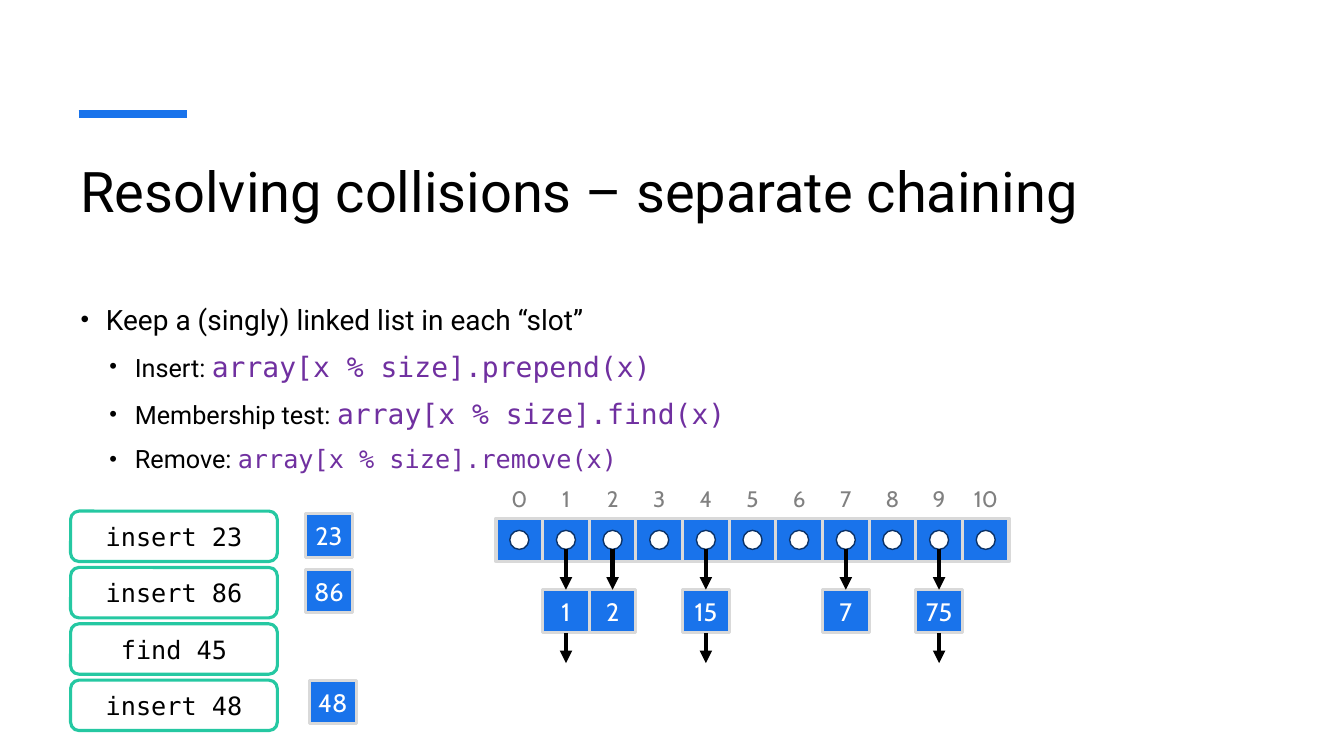
from dataclasses import dataclass

from lxml.etree import SubElement
from pptx import Presentation
from pptx.dml.color import RGBColor
from pptx.enum.shapes import MSO_CONNECTOR as Link, MSO_SHAPE as Preset
from pptx.enum.text import MSO_ANCHOR as Anchor, PP_ALIGN as Align
from pptx.oxml.ns import qn
from pptx.shapes.autoshape import Shape
from pptx.shapes.connector import Connector
from pptx.util import Cm, Pt

COLORS = {
    "blue": "1973EB", "navy": "0B3267", "teal": "25C8A2", "purple": "7030A0",
    "light": "D9D9D9", "gray": "808080", "black": "000000", "white": "FFFFFF",
}
SANS, MONO, LABEL = "Roboto", "DejaVu Sans Mono", "Cabin"

SLOT_COUNT = 11
ROW_LEFT, ROW_TOP = 12.5, 13.06
CELL_WIDTH, CELL_HEIGHT = 12.93 / SLOT_COUNT, 1.09
INDEX_TOP, CHAIN_TOP = 12.01, 14.86
DOT_SIZE = 0.48
TAIL_LENGTH = 0.76
COMMAND_LEFT, COMMAND_TOP, COMMAND_PITCH = 1.78, 12.88, 1.42


@dataclass(frozen=True)
class Style:
    font: str
    size: float
    color: str


@dataclass(frozen=True)
class Bullet:
    level: int
    text: str
    code: str = ""
    code_size: float = 20


@dataclass(frozen=True)
class Chain:
    slot: int
    value: str
    has_tail: bool


@dataclass(frozen=True)
class LooseNode:
    value: str
    left: float
    top: float


TITLE = Style(SANS, 40, "black")
INDEX = Style(LABEL, 16, "gray")
NODE = Style(LABEL, 18, "white")
COMMAND = Style(MONO, 18, "black")

BULLETS = [
    Bullet(0, "Keep a (singly) linked list in each “slot”"),
    Bullet(1, "Insert: ", "array[x % size].prepend(x)"),
    Bullet(1, "Membership test: ", "array[x % size].find(x)"),
    Bullet(1, "Remove: ", "array[x % size].remove(x)", 18),
]
CHAINS = [
    Chain(1, "1", True), Chain(2, "2", False), Chain(4, "15", True),
    Chain(7, "7", False), Chain(9, "75", True),
]
COMMANDS = ["insert 23", "insert 86", "find 45", "insert 48"]
LOOSE_NODES = [
    LooseNode("23", 7.7, 12.95),
    LooseNode("86", 7.7, 14.35),
    LooseNode("48", 7.8, 17.15),
]


def rgb(name: str) -> RGBColor:
    return RGBColor.from_string(COLORS[name])


def style_span(span, style: Style) -> None:
    span.font.name = style.font
    span.font.size = Pt(style.size)
    span.font.color.rgb = rgb(style.color)


def write_centered(box: Shape, text: str, style: Style) -> None:
    frame = box.text_frame
    frame.text = text
    frame.word_wrap = True
    frame.vertical_anchor = Anchor.MIDDLE
    frame.margin_left = frame.margin_right = 0
    para = frame.paragraphs[0]
    para.alignment = Align.CENTER
    style_span(para.runs[0], style)


def add_box(shapes, preset: Preset, left: float, top: float, width: float, height: float,
            fill: str, line: str, line_width: float = 2.25) -> Shape:
    box = shapes.add_shape(preset, Cm(left), Cm(top), Cm(width), Cm(height))
    box.shadow.inherit = False
    box.fill.solid()
    box.fill.fore_color.rgb = rgb(fill)
    box.line.color.rgb = rgb(line)
    box.line.width = Pt(line_width)
    return box


def add_cell(shapes, left: float, top: float) -> Shape:
    return add_box(shapes, Preset.RECTANGLE, left, top, CELL_WIDTH, CELL_HEIGHT, "blue", "light")


def add_node(shapes, value: str, left: float, top: float) -> Shape:
    node = add_cell(shapes, left, top)
    write_centered(node, value, NODE)
    return node


def add_line(shapes, start: tuple[float, float], end: tuple[float, float],
             color: str, width: float) -> Connector:
    line = shapes.add_connector(Link.STRAIGHT, *map(Cm, start + end))
    line.line.color.rgb = rgb(color)
    line.line.width = Pt(width)
    SubElement(line._element.spPr, qn("a:effectLst"))
    return line


def add_arrow(shapes, x: float, top: float, bottom: float) -> Connector:
    arrow = add_line(shapes, (x, top), (x, bottom), "black", 3)
    SubElement(arrow.line._get_or_add_ln(), qn("a:tailEnd"), type="triangle")
    return arrow


def slot_left(slot: int) -> float:
    return ROW_LEFT + slot * CELL_WIDTH


def add_heading(shapes) -> None:
    add_line(shapes, (1.98, 2.87), (4.7, 2.87), "blue", 6)
    box = shapes.add_textbox(Cm(1.78), Cm(3.81), Cm(30.25), Cm(3.05))
    box.text_frame.word_wrap = True
    box.text_frame.text = "Resolving collisions – separate chaining"
    style_span(box.text_frame.paragraphs[0].runs[0], TITLE)


def add_bullets(shapes) -> None:
    frame = shapes.add_textbox(Cm(1.78), Cm(7.32), Cm(30.25), Cm(5.26)).text_frame
    frame.word_wrap = True
    for number, bullet in enumerate(BULLETS):
        para = frame.add_paragraph() if number else frame.paragraphs[0]
        para.text = bullet.text
        para.level = bullet.level
        para.line_spacing = 1.2
        para.space_before = Pt(5 if bullet.level else 10)
        style_span(para.runs[0], Style(SANS, 18 if bullet.level else 20, "black"))
        if bullet.code:
            span = para.add_run()
            span.text = bullet.code
            style_span(span, Style(MONO, bullet.code_size, "purple"))
        props = para._p.get_or_add_pPr()
        props.set("marL", str(Cm(1.37 if bullet.level else 0.64)))
        props.set("indent", str(Cm(-0.64)))
        SubElement(props, qn("a:buSzPct"), val="87000")
        SubElement(props, qn("a:buFont"), typeface="Arial")
        SubElement(props, qn("a:buChar"), char="•")


def add_hash_table(shapes) -> None:
    """Draw the slots with their indices and pointer dots."""
    labels = shapes.add_group_shape().shapes
    for slot in range(SLOT_COUNT):
        left = slot_left(slot)
        add_cell(shapes, left, ROW_TOP)
        label = labels.add_textbox(Cm(left), Cm(INDEX_TOP), Cm(CELL_WIDTH), Cm(CELL_HEIGHT))
        write_centered(label, str(slot), INDEX)
    for slot in range(SLOT_COUNT):
        add_box(shapes, Preset.OVAL, slot_left(slot) + (CELL_WIDTH - DOT_SIZE) / 2,
                ROW_TOP + (CELL_HEIGHT - DOT_SIZE) / 2, DOT_SIZE, DOT_SIZE, "white", "navy", 1)


def add_chain(shapes, chain: Chain) -> None:
    left = slot_left(chain.slot)
    middle = left + CELL_WIDTH / 2
    node = add_node(shapes, chain.value, left, CHAIN_TOP)
    dot_bottom = ROW_TOP + (CELL_HEIGHT + DOT_SIZE) / 2
    add_arrow(shapes, middle, dot_bottom, CHAIN_TOP).end_connect(node, 0)
    if chain.has_tail:
        bottom = CHAIN_TOP + CELL_HEIGHT
        add_arrow(shapes, middle, bottom, bottom + TAIL_LENGTH).begin_connect(node, 2)


def main() -> None:
    deck = Presentation()
    deck.slide_width, deck.slide_height = Cm(33.87), Cm(19.05)
    page = deck.slides.add_slide(deck.slide_layouts[6])
    shapes = page.shapes
    add_heading(shapes)
    add_bullets(shapes)
    add_hash_table(shapes)
    for chain in CHAINS:
        add_chain(shapes, chain)
    for row, command in enumerate(COMMANDS):
        box = add_box(shapes, Preset.ROUNDED_RECTANGLE, COMMAND_LEFT,
                      COMMAND_TOP + row * COMMAND_PITCH, 5.21, 1.27, "white", "teal")
        write_centered(box, command, COMMAND)
    for loose in LOOSE_NODES:
        add_node(shapes, loose.value, loose.left, loose.top)
    deck.save("out.pptx")


if __name__ == "__main__":
    main()
